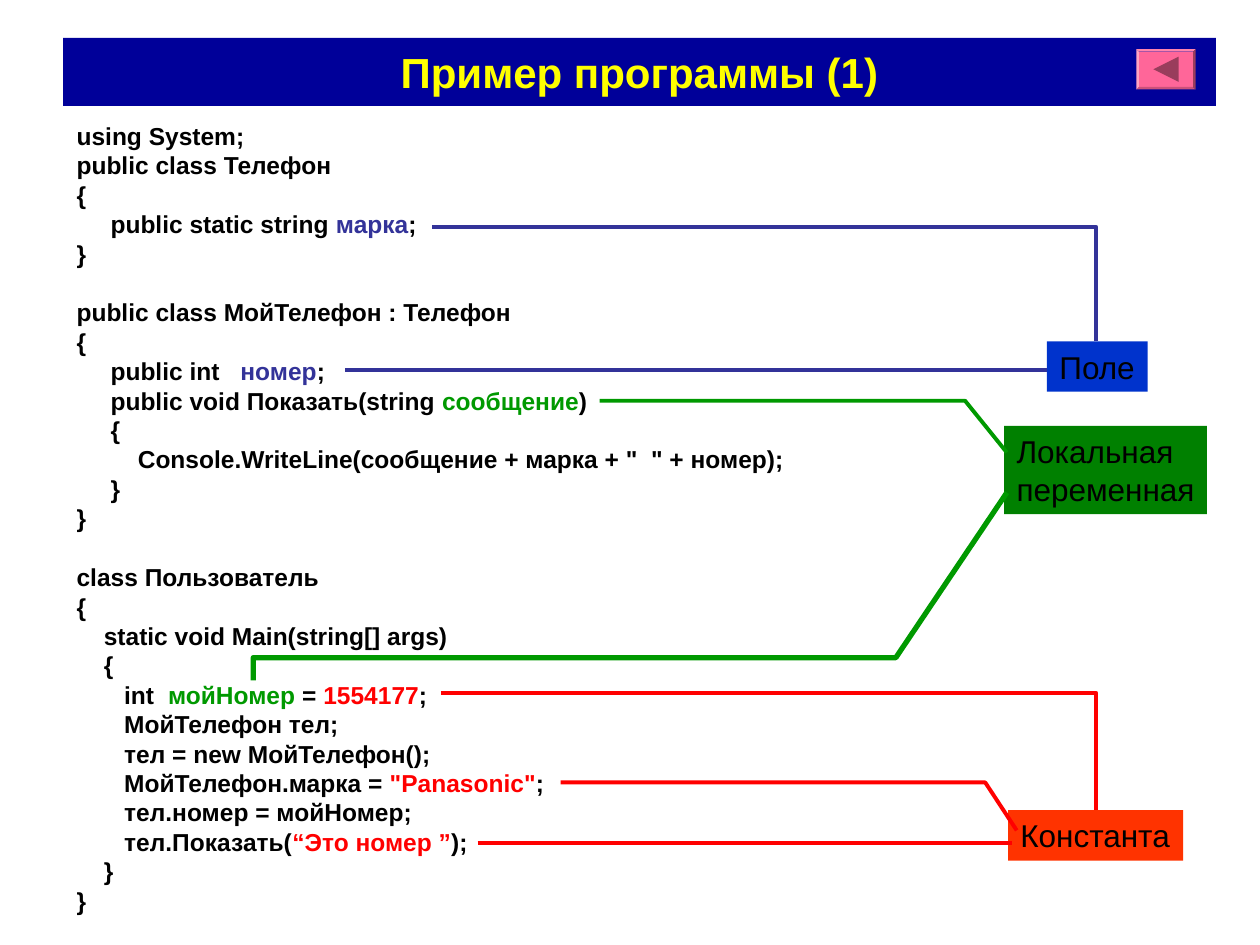
import pptx
import pptx.util
import pptx.dml.color
import pptx.enum.shapes
import pptx.enum.text
from dataclasses import dataclass
from lxml import etree

Pt = pptx.util.Pt
Shape = pptx.enum.shapes.MSO_SHAPE
Align = pptx.enum.text.PP_ALIGN
Anchor = pptx.enum.text.MSO_ANCHOR


@dataclass(frozen=True)
class Theme:
    font: str = "Arial"
    black: str = "000000"
    navy: str = "000099"
    yellow: str = "FFFF00"
    pink: str = "FF6699"
    plum: str = "993D5C"
    field: str = "333399"
    local: str = "009900"
    const: str = "FF0000"
    blue: str = "0033CC"
    green: str = "008000"
    orange: str = "FF3300"
    head: int = 24
    label: int = 18
    code: int = 14
    lead: float = 1.2


T = Theme()

# Each line is a list of (text, colour) runs; an empty line is a gap.
CODE = [
    [("using System;", T.black)],
    [("public class Телефон", T.black)],
    [("{", T.black)],
    [("     public static string ", T.black), ("марка", T.field), (";", T.black)],
    [("}", T.black)],
    [],
    [("public class МойТелефон : Телефон", T.black)],
    [("{", T.black)],
    [("     public int   ", T.black), ("номер", T.field), (";", T.black)],
    [("     public void Показать(string ", T.black), ("сообщение", T.local),
     (")", T.black)],
    [("     {", T.black)],
    [('         Console.WriteLine(сообщение + марка + "  " + номер);', T.black)],
    [("     }", T.black)],
    [("}", T.black)],
    [],
    [("class Пользователь", T.black)],
    [("{", T.black)],
    [("    static void Main(string[] args)", T.black)],
    [("    {", T.black)],
    [("       int ", T.black), (" мойНомер ", T.local), ("= ", T.black),
     ("1554177", T.const), (";", T.black)],
    [("       МойТелефон тел;", T.black)],
    [("       тел = new МойТелефон();", T.black)],
    [("       МойТелефон.марка = ", T.black), ('"Panasonic"', T.const),
     (";", T.black)],
    [("       тел.номер = мойНомер;", T.black)],
    [("       тел.Показать(", T.black), ("“Это номер ”", T.const),
     (");", T.black)],
    [("    }", T.black)],
    [("}", T.black)],
]

# Label lines, box, fill, line colour, leaders as (width, points from the box corner)
NOTES = [
    (["Поле"], (598.3, 195.1, 57.6, 28.8), T.blue, T.field, [
        (2.25, [(28.1, 0), (28.1, -65.5), (-351.3, -65.5)]),
        (2.25, [(-401, 16.6), (0, 16.6)])]),
    (["Локальная", "переменная"], (573.8, 243.4, 115.9, 50.4), T.green, T.local, [
        (3, [(-429.1, 145.4), (-429.1, 132.4), (-61.9, 132.4), (1.5, 38.1)]),
        (2.25, [(-231.1, -14.4), (-22.3, -14.4), (1.5, 15.1)])]),
    (["Константа"], (576, 463, 100.1, 28.8), T.orange, T.const, [
        (2.25, [(-324, -67), (50.4, -67), (50.4, 0)]),
        (2.25, [(-255.6, -15.9), (-13, -15.9), (5, 11.5)]),
        (2.25, [(-303.1, 18.7), (2.2, 18.7)])]),
]


def rgb(hue):
    return pptx.dml.color.RGBColor.from_string(hue)


def apply(item, form):
    for name, value in form.items():
        setattr(item, name, value)


def paint(shape, hue):
    shape.shadow.inherit = False
    shape.fill.solid()
    shape.fill.fore_color.rgb = rgb(hue)
    shape.line.fill.background()


def block(slide, kind, box, hue):
    shape = slide.shapes.add_shape(kind, *map(Pt, box))
    paint(shape, hue)
    return shape


def write(shape, lines, size, bold=False, frame=None, para=None):
    """Fill a shape with lines of runs; an empty line becomes space before."""
    text = shape.text_frame
    apply(text, {"margin_left": Pt(7.2), "margin_right": Pt(7.2),
                 "margin_top": Pt(3.6), "margin_bottom": Pt(3.6),
                 "vertical_anchor": Anchor.TOP, **(frame or {})})
    step, gap, part = Pt(size * T.lead), 0, None
    for line in lines:
        if not line:
            gap = step
            continue
        part = text.add_paragraph() if part else text.paragraphs[0]
        apply(part, {"alignment": Align.LEFT, "line_spacing": step,
                     "space_before": gap, **(para or {})})
        gap = 0
        for words, hue in line:
            run = part.add_run()
            run.text = words
            apply(run.font, {"name": T.font, "size": Pt(size), "bold": bold})
            run.font.color.rgb = rgb(hue)


def trace(slide, spots, close=False):
    spots = [(Pt(x), Pt(y)) for x, y in spots]
    pen = slide.shapes.build_freeform(*spots[0])
    pen.add_line_segments(spots[1:], close=close)
    return pen.convert_to_shape()


def title(slide, box):
    bar = block(slide, Shape.RECTANGLE, box, T.navy)
    write(bar, [[("Пример программы (1)", T.yellow)]], T.head, True,
          {"vertical_anchor": Anchor.MIDDLE}, {"alignment": Align.CENTER})


def button(slide, box):
    left, top, wide, high = box
    key = block(slide, Shape.BEVEL, box, T.pink)
    key.adjustments[0] = 0.06
    # Back arrow, centred on the key
    mid, half = top + high / 2, 7.2
    tip = left + wide / 2 - half
    arrow = trace(slide, [(tip, mid), (tip + 2 * half, mid - half),
                          (tip + 2 * half, mid + half)], close=True)
    paint(arrow, T.plum)


def listing(slide, box):
    area = slide.shapes.add_textbox(*map(Pt, box))
    write(area, CODE, T.code, True, {"word_wrap": True})


def label(slide, box, lines, hue):
    tag = block(slide, Shape.RECTANGLE, box, hue)
    write(tag, [[(line, T.black)] for line in lines], T.label,
          frame={"word_wrap": False})


def leader(slide, box, hue, width, spots):
    left, top = box[:2]
    spots = [(left + x, top + y) for x, y in spots]
    if len(spots) == 2:
        ends = [Pt(n) for spot in spots for n in spot]
        line = slide.shapes.add_connector(
            pptx.enum.shapes.MSO_CONNECTOR.STRAIGHT, *ends)
        props = line._element.spPr
        etree.SubElement(props, pptx.oxml.ns.qn("a:effectLst"))
    else:
        line = trace(slide, spots)
        line.shadow.inherit = False
        line.fill.background()
    line.line.color.rgb = rgb(hue)
    line.line.width = Pt(width)


def main():
    deck = pptx.Presentation()
    apply(deck, {"slide_width": Pt(720), "slide_height": Pt(540)})
    slide = deck.slides.add_slide(deck.slide_layouts[6])
    title(slide, (36, 21.6, 658.8, 38.9))
    button(slide, (649.4, 28.1, 33.8, 23))
    listing(slide, (36.7, 65.5, 453.6, 461.5))
    # Labels lie below all leaders
    for lines, box, fill, _, _ in NOTES:
        label(slide, box, lines, fill)
    for _, box, _, hue, paths in NOTES:
        for width, spots in paths:
            leader(slide, box, hue, width, spots)
    deck.save("out.pptx")


if __name__ == "__main__":
    main()
